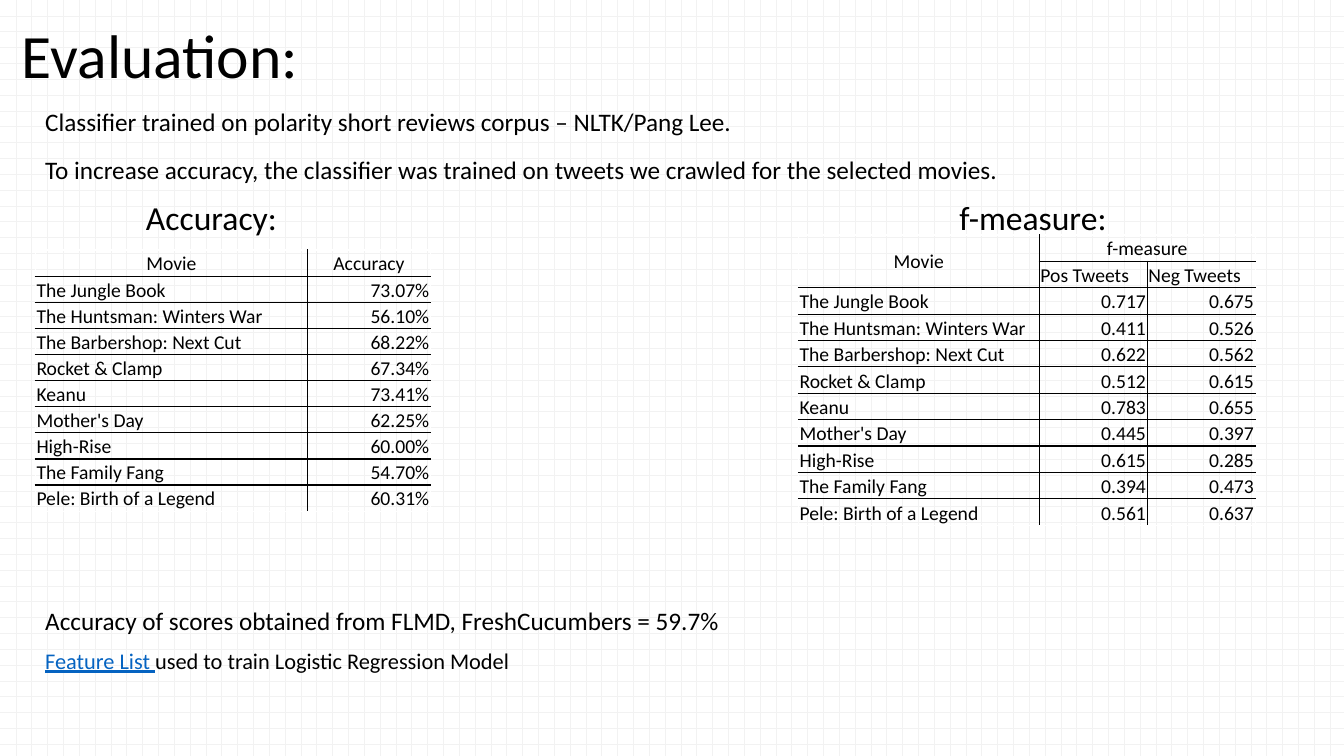
from dataclasses import dataclass

from lxml.etree import SubElement
from pptx import Presentation
from pptx.dml.color import RGBColor
from pptx.enum.dml import MSO_PATTERN
from pptx.enum.text import MSO_ANCHOR, PP_ALIGN
from pptx.oxml import parse_xml
from pptx.oxml.ns import nsdecls, qn
from pptx.util import Cm, Pt


@dataclass(frozen=True)
class Theme:
    font: str = "Calibri"
    ink: str = "000000"
    paper: str = "FFFFFF"
    grid: str = "F2F2F2"
    link: str = "0563C1"
    title: int = 44
    head: int = 24
    body: int = 18
    note: int = 16
    cell: int = 14


class Page:
    def __init__(self, deck, theme):
        self.theme = theme
        self.slide = deck.slides.add_slide(deck.slide_layouts[5])
        fill = self.slide.background.fill
        fill.patterned()
        fill.pattern = MSO_PATTERN.DOTTED_GRID
        fill.fore_color.rgb = RGBColor.from_string(theme.grid)
        fill.back_color.rgb = RGBColor.from_string(theme.paper)

    def style(self, para, size):
        para.font.name = self.theme.font
        para.font.size = Pt(size)
        para.font.color.rgb = RGBColor.from_string(self.theme.ink)

    def title(self, text, x, y, w, h):
        shape = self.slide.shapes.title
        shape.left, shape.top, shape.width, shape.height = map(Cm, (x, y, w, h))
        frame = shape.text_frame
        frame.text = text
        frame.vertical_anchor = MSO_ANCHOR.MIDDLE
        para = frame.paragraphs[0]
        para.alignment = PP_ALIGN.LEFT
        para.line_spacing = 0.9
        self.style(para, self.theme.title)

    def body(self, x, y, w, h):
        frame = self.slide.shapes.add_textbox(*map(Cm, (x, y, w, h))).text_frame
        frame.word_wrap = True
        return frame

    def line(self, frame, text, size, gap, link="", tabs=()):
        """Add a paragraph, with an optional link-coloured lead and tab stops."""
        first = frame.paragraphs[0]
        para = frame.add_paragraph() if first.runs else first
        para.line_spacing, para.space_before = 0.9, Pt(gap)
        self.style(para, size)
        if link:
            lead = para.add_run()
            lead.text = link
            lead.font.underline = True
            lead.font.color.rgb = RGBColor.from_string(self.theme.link)
        para.add_run().text = text
        if tabs:
            stops = parse_xml(f"<a:tabLst {nsdecls('a')}/>")
            for pos in tabs:
                SubElement(stops, qn("a:tab"), pos=str(Cm(pos)), algn="l")
            props = para._p.get_or_add_pPr()
            rest = props.find(qn("a:defRPr"))
            if rest is None:
                props.append(stops)
            else:
                rest.addprevious(stops)

    def table(self, rows, x, y, cols, h, merges=()):
        frame = self.slide.shapes.add_table(
            len(rows), len(cols), Cm(x), Cm(y), Cm(sum(cols)), Cm(h))
        table = frame.table
        table.first_row = table.horz_banding = False
        plain = "{2D5ABB26-0587-4C30-8999-92F81FD0307C}"
        table._tbl.tblPr.find(qn("a:tableStyleId")).text = plain
        for col, w in zip(table.columns, cols):
            col.width = Cm(w)
        for row in table.rows:
            row.height = Cm(h / len(rows))
        for start, end in merges:
            table.cell(*start).merge(table.cell(*end))
        for r, row in enumerate(rows):
            for c, text in enumerate(row):
                cell = table.cell(r, c)
                if cell.is_spanned:
                    continue
                self.fill(cell, text, r == 0)
                # Outer edges blend into the page
                self.edges(cell, L=c == 0, R=c + cell.span_width == len(cols),
                           T=r == 0, B=r + cell.span_height == len(rows))

    def fill(self, cell, text, head):
        cell.fill.background()
        cell.margin_left = cell.margin_right = cell.margin_top = Cm(0.03)
        cell.margin_bottom = 0
        cell.vertical_anchor = MSO_ANCHOR.MIDDLE if head else MSO_ANCHOR.BOTTOM
        cell.text = text
        para = cell.text_frame.paragraphs[0]
        self.style(para, self.theme.cell)
        if head:
            para.alignment = PP_ALIGN.CENTER
        else:
            para.alignment = PP_ALIGN.RIGHT if text[0].isdigit() else PP_ALIGN.LEFT

    def edges(self, cell, **outer):
        props = cell._tc.get_or_add_tcPr()
        for i, (side, blank) in enumerate(outer.items()):
            tint = self.theme.paper if blank else self.theme.ink
            props.insert(i, parse_xml(
                f'<a:ln{side} {nsdecls("a")} w="{Pt(1)}"><a:solidFill>'
                f'<a:srgbClr val="{tint}"/></a:solidFill></a:ln{side}>'))


# Results per movie: accuracy, positive and negative f-measure
SCORES = [
    ("The Jungle Book", "73.07%", "0.717", "0.675"),
    ("The Huntsman: Winters War", "56.10%", "0.411", "0.526"),
    ("The Barbershop: Next Cut", "68.22%", "0.622", "0.562"),
    ("Rocket & Clamp", "67.34%", "0.512", "0.615"),
    ("Keanu", "73.41%", "0.783", "0.655"),
    ("Mother's Day", "62.25%", "0.445", "0.397"),
    ("High-Rise", "60.00%", "0.615", "0.285"),
    ("The Family Fang", "54.70%", "0.394", "0.473"),
    ("Pele: Birth of a Legend", "60.31%", "0.561", "0.637"),
]

deck = Presentation()
deck.slide_width, deck.slide_height = Cm(33.87), Cm(19.05)
theme = Theme()
page = Page(deck, theme)

# Title and running text
page.title("Evaluation:", 0.3, 0.3, 29.21, 2.34)
text = page.body(0.89, 2.64, 32.64, 16.05)
page.line(text, "Classifier trained on polarity short reviews corpus – NLTK/Pang Lee.",
          theme.body, 10)
page.line(text, "To increase accuracy, the classifier was trained on tweets "
          "we crawled for the selected movies.", theme.body, 15)
page.line(text, "\tAccuracy:\tf-measure:", theme.head, 11.5, tabs=(2.54, 23.04))
page.line(text, "Accuracy of scores obtained from FLMD, FreshCucumbers = 59.7%",
          theme.body, 265)
page.line(text, "used to train Logistic Regression Model", theme.note, 10,
          link="Feature List ")

# Accuracy table
page.table([("Movie", "Accuracy")] + [row[:2] for row in SCORES],
           0.89, 6.3, (6.86, 3.1), 6.58)

# F-measure table with a two-row head
heads = [("Movie", "f-measure", ""), ("", "Pos Tweets", "Neg Tweets")]
page.table(heads + [(row[0], *row[2:]) for row in SCORES],
           20.12, 5.92, (6.07, 2.72, 2.72), 7.32,
           merges=[((0, 0), (1, 0)), ((0, 1), (0, 2))])

deck.save("out.pptx")
